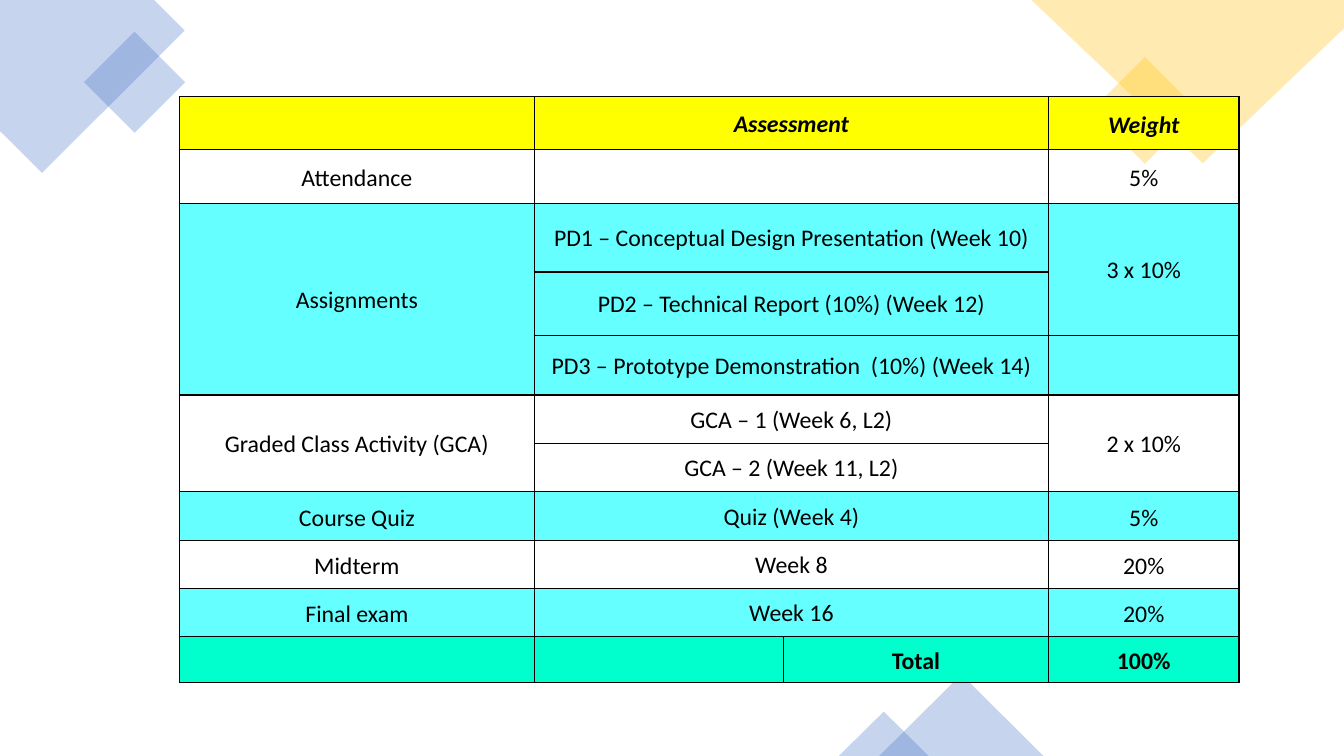
from lxml import etree
from pptx import Presentation
from pptx.dml.color import RGBColor
from pptx.enum.shapes import MSO_SHAPE as SHAPE
from pptx.enum.text import MSO_ANCHOR as ANCHOR, PP_ALIGN as ALIGN
from pptx.oxml.ns import qn
from pptx.util import Inches, Pt

BLUE = RGBColor(0x44, 0x72, 0xC4)
GOLD = RGBColor(0xFF, 0xC0, 0x00)
YELLOW = RGBColor(0xFF, 0xFF, 0x00)
CYAN = RGBColor(0x66, 0xFF, 0xFF)
GREEN = RGBColor(0x00, 0xFF, 0xCC)
BLACK = RGBColor(0, 0, 0)

COLS = [3.52, 2.47, 2.63, 1.89]
# height, fill, bold, italic, cell texts
ROWS = [
    (0.52, YELLOW, True, True, ["", "Assessment", "", "Weight"]),
    (0.54, None, False, False, ["Attendance", "", "", "5%"]),
    (0.68, CYAN, False, False,
     ["Assignments", "PD1 – Conceptual Design Presentation (Week 10)", "", "3 x 10%"]),
    (0.63, CYAN, False, False, ["", "PD2 – Technical Report (10%) (Week 12)", "", ""]),
    (0.59, CYAN, False, False,
     ["", "PD3 – Prototype Demonstration  (10%) (Week 14)", "", ""]),
    (0.48, None, False, False,
     ["Graded Class Activity (GCA)", "GCA – 1 (Week 6, L2)", "", "2 x 10%"]),
    (0.48, None, False, False, ["", "GCA – 2 (Week 11, L2)", "", ""]),
    (0.48, CYAN, False, False, ["Course Quiz", "Quiz (Week 4)", "", "5%"]),
    (0.48, None, False, False, ["Midterm", "Week 8", "", "20%"]),
    (0.48, CYAN, False, False, ["Final exam", "Week 16", "", "20%"]),
    (0.45, GREEN, True, False, ["", "", "Total", "100%"]),
]
# first row, first column, last row, last column
MERGES = [(r, 1, r, 2) for r in range(len(ROWS) - 1)]
MERGES += [(2, 0, 4, 0), (2, 3, 3, 3), (5, 0, 6, 0), (5, 3, 6, 3)]


def write_text(tf, text, size=17, font="Calibri", color=BLACK, bold=False, italic=False):
    p = tf.paragraphs[0]
    p.alignment = ALIGN.CENTER
    p.line_spacing = 1.07
    r = p.add_run()
    r.text = text
    r.font.size, r.font.name = Pt(size), font
    r.font.bold, r.font.italic = bold, italic
    r.font.color.rgb = color


class SlideBuilder:
    def __init__(self, slide, alpha=30, border=1):
        self.slide, self.alpha, self.border = slide, alpha, border

    def tint(self, sp, color, rotation):
        """Give a decoration its see-through fill, without line or shadow."""
        sp.shadow.inherit = False
        sp.rotation = rotation
        sp.line.fill.background()
        sp.fill.solid()
        sp.fill.fore_color.rgb = color
        clr = sp.fill._xPr.find(qn("a:solidFill"))[0]
        etree.SubElement(clr, qn("a:alpha"), val=str(self.alpha * 1000))

    def preset(self, kind, box, color, rotation=0):
        sp = self.slide.shapes.add_shape(kind, *map(Inches, box))
        self.tint(sp, color, rotation)

    def polygon(self, left, top, points, color, rotation):
        points = [(Inches(x), Inches(y)) for x, y in points]
        fb = self.slide.shapes.build_freeform(*points[0])
        fb.add_line_segments(points[1:], close=True)
        sp = fb.convert_to_shape(Inches(left), Inches(top))
        sp.left, sp.top = Inches(left), Inches(top)
        self.tint(sp, color, rotation)

    def outline(self, cell):
        tc_pr = cell._tc.get_or_add_tcPr()
        for side in "LRTB":
            ln = etree.SubElement(tc_pr, qn("a:ln" + side), w=str(Pt(self.border)))
            fill = etree.SubElement(ln, qn("a:solidFill"))
            etree.SubElement(fill, qn("a:srgbClr"), val=str(BLACK))

    def table(self, left, top, cols, rows, merges):
        size = Inches(sum(cols)), Inches(sum(row[0] for row in rows))
        frame = self.slide.shapes.add_table(
            len(rows), len(cols), Inches(left), Inches(top), *size)
        tbl = frame.table
        tbl.first_row = tbl.horz_banding = False
        for col, width in zip(tbl.columns, cols):
            col.width = Inches(width)
        for r1, c1, r2, c2 in merges:
            tbl.cell(r1, c1).merge(tbl.cell(r2, c2))
        for i, (height, fill, bold, italic, texts) in enumerate(rows):
            tbl.rows[i].height = Inches(height)
            for j, text in enumerate(texts):
                self.cell(tbl.cell(i, j), text, fill, bold, italic)

    def cell(self, cell, text, fill, bold, italic):
        self.outline(cell)
        if fill is None:
            cell.fill.background()
        else:
            cell.fill.solid()
            cell.fill.fore_color.rgb = fill
        if not text:
            return
        side, top, bottom = (0.16, 0.08, 0.08) if cell.is_merge_origin else (0.12, 0.02, 0)
        cell.margin_left = cell.margin_right = Inches(side)
        cell.margin_top, cell.margin_bottom = Inches(top), Inches(bottom)
        cell.vertical_anchor = ANCHOR.MIDDLE
        write_text(cell.text_frame, text, bold=bold, italic=italic)


def main():
    prs = Presentation()
    prs.slide_width, prs.slide_height = Inches(13.33), Inches(7.5)
    s = SlideBuilder(prs.slides.add_slide(prs.slide_layouts[6]))

    s.polygon(-0.41, -0.28, [(2, 1.08), (0.92, 0), (0, 0.92), (0, 1.51), (2, 1.51)],
              BLUE, 315)
    s.preset(SHAPE.RECTANGLE, (0.98, 0.46, 0.71, 0.71), BLUE, 315)
    s.preset(SHAPE.RECTANGLE, (10.98, 0.72, 0.75, 0.75), GOLD, 315)
    s.polygon(10.23, 0, [(0, 1.62), (3.1, 1.62), (1.4, 0), (0, 1.34)], GOLD, 180)
    s.preset(SHAPE.ISOSCELES_TRIANGLE, (8.72, 6.69, 1.63, 0.81), BLUE)
    s.preset(SHAPE.ISOSCELES_TRIANGLE, (8.32, 7.06, 0.89, 0.44), BLUE)
    s.table(1.78, 0.96, COLS, ROWS, MERGES)

    prs.save("out.pptx")


if __name__ == "__main__":
    main()
